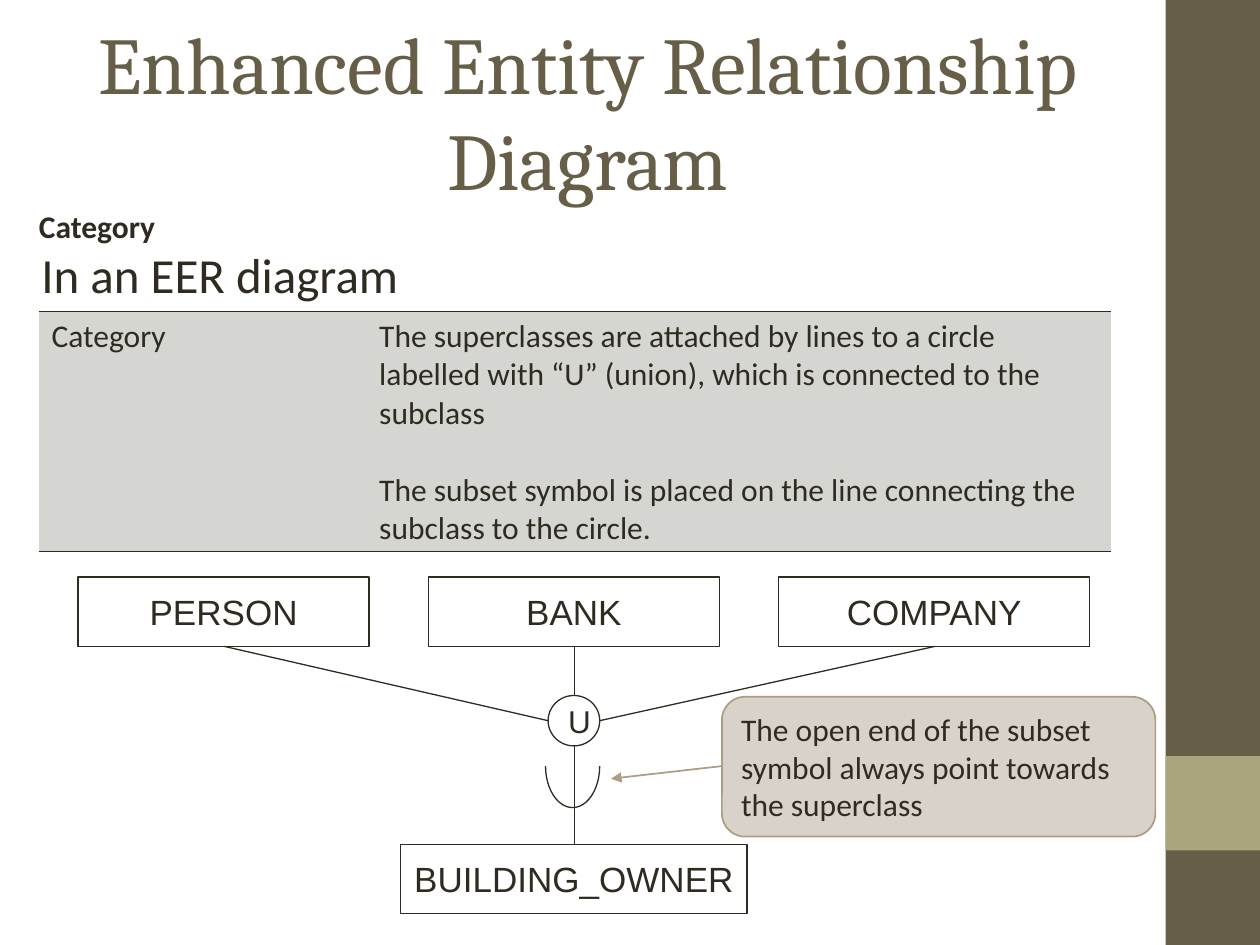
from dataclasses import dataclass

from lxml.etree import SubElement
from pptx import Presentation
from pptx.dml.color import RGBColor
from pptx.enum.shapes import MSO_CONNECTOR, MSO_SHAPE
from pptx.enum.text import MSO_ANCHOR, PP_ALIGN
from pptx.oxml import parse_xml
from pptx.oxml.ns import nsdecls, qn
from pptx.util import Inches, Pt


@dataclass(frozen=True)
class Theme:
    ink: str = "2F2B20"
    brown: str = "675E47"
    olive: str = "A9A57C"
    white: str = "FFFFFF"
    cell: str = "D5D5D2"
    note: str = "D9D2CA"
    note_line: str = "AE9C85"
    heading_font: str = "Cambria"
    body_font: str = "Calibri"
    diagram_font: str = "Arial"
    title_size: float = 46
    lead_size: float = 28
    entity_size: float = 20
    body_size: float = 18
    thin: float = 0.75
    table_rule: float = 0.45


class SlideBuilder:
    def __init__(self, slide, theme):
        self.slide = slide
        self.theme = theme

    def set_text(self, text_frame, text, size, font=None, color=None, bold=False,
                 align=PP_ALIGN.LEFT, anchor=MSO_ANCHOR.TOP, wrap=True):
        text_frame.text = text
        text_frame.word_wrap = wrap
        text_frame.vertical_anchor = anchor
        for paragraph in text_frame.paragraphs:
            paragraph.alignment = align
            for run in paragraph.runs:
                run.font.size = Pt(size)
                run.font.name = font or self.theme.body_font
                run.font.bold = bold
                run.font.color.rgb = RGBColor.from_string(color or self.theme.ink)

    def text(self, box, text, size, inset=0.1, inset_top=0.05, **style):
        shape = self.slide.shapes.add_textbox(*map(Inches, box))
        frame = shape.text_frame
        frame.margin_left = frame.margin_right = Inches(inset)
        frame.margin_top = frame.margin_bottom = Inches(inset_top)
        self.set_text(frame, text, size, **style)
        return shape

    def shape(self, kind, box, fill=None, line=None, width=0.75):
        shape = self.slide.shapes.add_shape(kind, *map(Inches, box))
        shape.shadow.inherit = False
        if fill:
            shape.fill.solid()
            shape.fill.fore_color.rgb = RGBColor.from_string(fill)
        else:
            shape.fill.background()
        if line:
            shape.line.color.rgb = RGBColor.from_string(line)
            shape.line.width = Pt(width)
        else:
            shape.line.fill.background()
        return shape

    def entity(self, name, box):
        shape = self.shape(MSO_SHAPE.RECTANGLE, box, line=self.theme.ink)
        self.set_text(shape.text_frame, name, self.theme.entity_size,
                      self.theme.diagram_font, align=PP_ALIGN.CENTER,
                      anchor=MSO_ANCHOR.MIDDLE, wrap=False)

    def line(self, start, end, color=None, width=0.75, arrow=False):
        connector = self.slide.shapes.add_connector(
            MSO_CONNECTOR.STRAIGHT, *map(Inches, (*start, *end)))
        connector.line.color.rgb = RGBColor.from_string(color or self.theme.ink)
        connector.line.width = Pt(width)
        properties = connector._element.spPr
        if arrow:
            SubElement(properties.find(qn("a:ln")), qn("a:tailEnd"), type="triangle")
        SubElement(properties, qn("a:effectLst"))

    def rule_cell(self, cell):
        """Rules above and below the cell, none at its sides."""
        ruled = f'<a:solidFill><a:srgbClr val="{self.theme.ink}"/></a:solidFill>'
        sides = {"lnL": "<a:noFill/>", "lnR": "<a:noFill/>", "lnT": ruled, "lnB": ruled}
        properties = cell._tc.get_or_add_tcPr()
        for index, (side, paint) in enumerate(sides.items()):
            properties.insert(index, parse_xml(
                f'<a:{side} {nsdecls("a")} w="{Pt(self.theme.table_rule)}">{paint}</a:{side}>'))

    def table(self, box, column_widths, texts):
        frame = self.slide.shapes.add_table(1, len(texts), *map(Inches, box))
        table = frame.table
        table.first_row = table.horz_banding = False
        for column, width in zip(table.columns, column_widths):
            column.width = Inches(width)
        for cell, text in zip(table.rows[0].cells, texts):
            self.set_text(cell.text_frame, text, self.theme.body_size)
            for paragraph in cell.text_frame.paragraphs[1:]:
                paragraph.space_before = Pt(22)
            cell.fill.solid()
            cell.fill.fore_color.rgb = RGBColor.from_string(self.theme.cell)
            self.rule_cell(cell)


def main():
    theme = Theme()
    presentation = Presentation()
    presentation.slide_width, presentation.slide_height = Inches(10), Inches(7.5)
    slide = presentation.slides.add_slide(presentation.slide_layouts[6])
    builder = SlideBuilder(slide, theme)

    # Side band
    builder.shape(MSO_SHAPE.RECTANGLE, (9.25, 0, 0.75, 7.5), theme.brown)
    builder.shape(MSO_SHAPE.RECTANGLE, (9.25, 6, 0.75, 0.75), theme.olive)

    # Headings
    builder.text((0.5, 0.25, 8.33, 1.25), "Enhanced Entity Relationship Diagram",
                 theme.title_size, font=theme.heading_font, color=theme.brown,
                 align=PP_ALIGN.CENTER, anchor=MSO_ANCHOR.MIDDLE)
    builder.text((0.23, 1.89, 3.1, 0.58), "In an EER diagram", theme.lead_size)
    category = builder.text((0.23, 1.69, 1.17, 0.35), "Category", theme.body_size,
                            inset=0.08, inset_top=0, bold=True)
    category.text_frame.paragraphs[0].line_spacing = Pt(18)

    # Definition table
    builder.table((0.31, 2.47, 8.51, 1.9), (2.6, 5.91), (
        "Category",
        "The superclasses are attached by lines to a circle labelled with “U” (union), "
        "which is connected to the subclass\n"
        "The subset symbol is placed on the line connecting the subclass to the circle."))

    # Superclasses and subclass
    entity_top, entity_height, subclass_top = 4.58, 0.55, 6.7
    entity_bottom = entity_top + entity_height
    for name, left, width in (("PERSON", 0.62, 2.31), ("BANK", 3.4, 2.31),
                              ("COMPANY", 6.18, 2.47)):
        builder.entity(name, (left, entity_top, width, entity_height))
    builder.entity("BUILDING_OWNER", (3.18, subclass_top, 2.75, entity_height))

    # Union circle and its lines
    axis = 4.56
    circle_left, circle_top, circle_width, circle_height = 4.35, 5.52, 0.41, 0.4
    circle_middle = circle_top + circle_height / 2
    circle = builder.shape(MSO_SHAPE.OVAL,
                           (circle_left, circle_top, circle_width, circle_height),
                           theme.white, theme.ink)
    builder.set_text(circle.text_frame, "U", theme.body_size, theme.diagram_font,
                     anchor=MSO_ANCHOR.MIDDLE)
    for start, end in (
            ((axis, entity_bottom), (axis, circle_top)),
            ((axis, circle_top + circle_height), (axis, subclass_top)),
            ((1.78, entity_bottom), (circle_left, circle_middle)),
            ((7.42, entity_bottom), (circle_left + circle_width, circle_middle))):
        builder.line(start, end, width=theme.thin)

    # Subset symbol: lower half of an ellipse, 0.6 adjustment units to the degree
    subset = builder.shape(MSO_SHAPE.ARC, (4.33, 5.75, 0.43, 0.66), line=theme.ink)
    subset.adjustments[0] = 0
    subset.adjustments[1] = 180 * 0.6

    # Note with its arrow
    note = builder.shape(MSO_SHAPE.ROUNDED_RECTANGLE, (5.73, 5.53, 3.44, 1.11),
                         theme.note, theme.note_line, 1)
    builder.set_text(note.text_frame, "The open end of the subset symbol always point "
                     "towards the superclass", theme.body_size)
    builder.line((5.73, 6.08), (4.85, 6.18), theme.note_line, 1, arrow=True)

    presentation.save("out.pptx")


if __name__ == "__main__":
    main()
